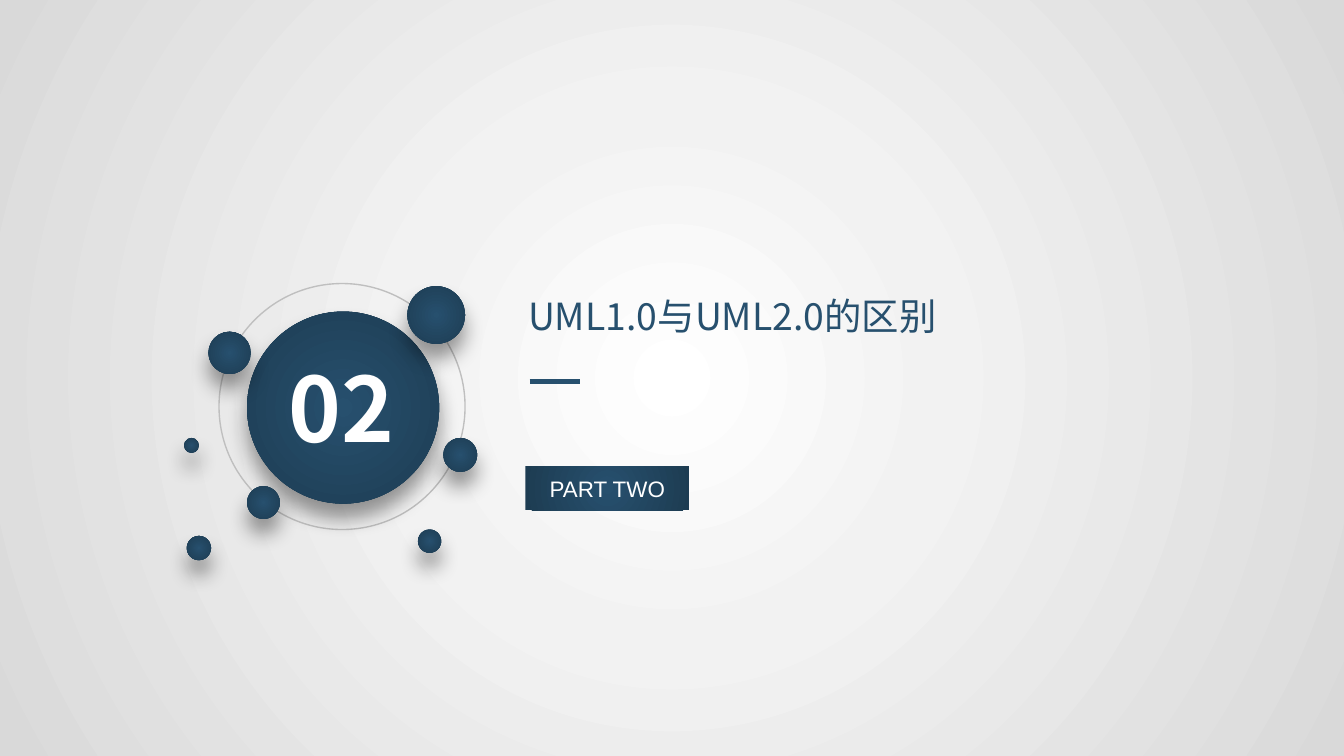
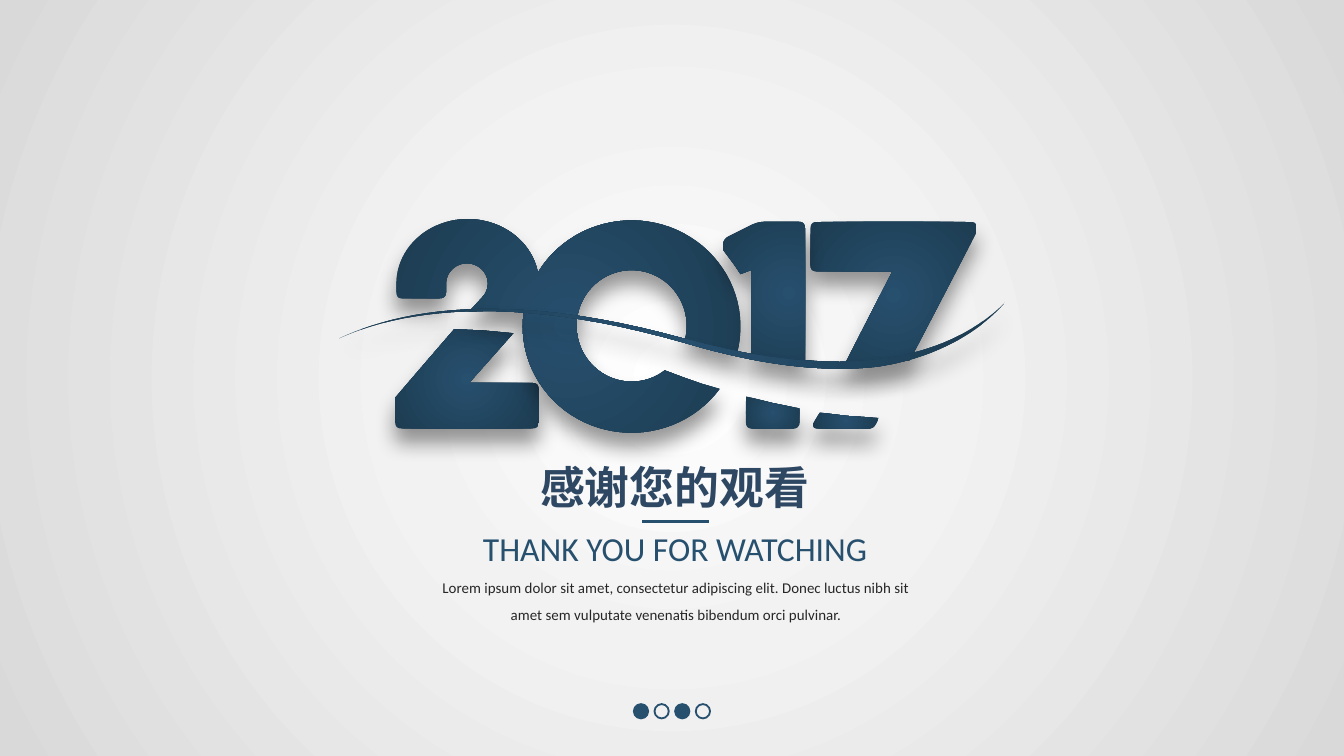
"""Build a section page and a closing page in a shared dark blue style."""
import math

import pptx
import pptx.dml.color
import pptx.enum.shapes
import pptx.enum.text
import pptx.oxml
import pptx.oxml.ns
import pptx.util
from pptx.util import Cm

BLUE, DEEP_BLUE, SLATE = "27506E", "1D3C52", "2E4864"
WHITE, PALE, SILVER, RING_GREY, INK = "FFFFFF", "F2F2F2", "D9D9D9", "BFBFBF", "262626"
BLUE_GLOW = ((0, BLUE), (100, DEEP_BLUE))
PAGE_GLOW = ((0, WHITE), (35, PALE), (100, SILVER))
CHINESE, ENGLISH, LABEL = "Noto Sans CJK SC", "Calibri", "Arial"
GRID = Cm(0.0254)
LEFT, CENTER = pptx.enum.text.PP_ALIGN.LEFT, pptx.enum.text.PP_ALIGN.CENTER
OVAL = pptx.enum.shapes.MSO_SHAPE.OVAL
RECTANGLE = pptx.enum.shapes.MSO_SHAPE.RECTANGLE
NS = pptx.oxml.ns.nsdecls("a")

# Each corner is x, y and an optional rounding radius, in GRID units.
TWO_BASE = [(349, 285), (382, 248), (360, 246), (338, 245), (294, 296),
            (294, 319, 5), (401, 319, 5), (401, 285, 5)]
ONE_STEM = [(599, 165, 5), (564, 165, 6), (538, 178, 5), (538, 186), (547, 198),
            (551, 204), (559, 201), (559, 264), (579, 268), (599, 270),
            (636, 271), (599, 268)]
ONE_FOOT = [(555, 295), (575, 300), (595, 304), (595, 319, 5), (555, 319, 5)]
SEVEN_TOP = [(727, 165, 5), (603, 165, 5), (603, 202, 5), (664, 202), (627, 274),
             (639, 273), (658, 271), (677, 268), (726, 174)]
SEVEN_FOOT = [(610, 307), (630, 309.5), (654, 311), (650, 319, 4), (605, 319, 4),
              (605, 315)]
WAVE = [((748, 225), (715, 258), (647, 290), (509, 252)),
        ((509, 252), (376, 215), (296, 231), (252, 252)),
        ((252, 252), (296, 232), (376, 217), (509, 255)),
        ((509, 255), (569, 273), (616, 277), (652, 273)),
        ((652, 273), (681, 269), (721, 256), (748, 225))]


def color(code):
    """Turn a hex string into a colour."""
    return pptx.dml.color.RGBColor.from_string(code)


def glow(fill, element, stops):
    """Fill with a gradient that spreads from the centre."""
    fill.solid()
    plain = element.find(".//" + pptx.oxml.ns.qn("a:solidFill"))
    marks = "".join(f'<a:gs pos="{place * 1000}"><a:srgbClr val="{code}"/></a:gs>'
                    for place, code in stops)
    plain.getparent().replace(plain, pptx.oxml.parse_xml(
        f'<a:gradFill {NS} rotWithShape="1"><a:gsLst>{marks}</a:gsLst><a:path path="circle">'
        '<a:fillToRect l="50000" t="50000" r="50000" b="50000"/></a:path></a:gradFill>'))


def drop_shadow(shape):
    """Cast a soft shadow straight down."""
    effects = shape._element.spPr.find(pptx.oxml.ns.qn("a:effectLst"))
    effects.append(pptx.oxml.parse_xml(
        f'<a:outerShdw {NS} blurRad="{pptx.util.Pt(11)}" dist="{pptx.util.Pt(8)}" '
        'dir="5400000" algn="t" rotWithShape="0"><a:srgbClr val="000000">'
        '<a:alpha val="40000"/></a:srgbClr></a:outerShdw>'))


def style(shape, fill=None, line=None, width=1, shadow=False):
    """Give a shape its fill, line and shadow; a tuple of stops is a gradient."""
    shape.shadow.inherit = False
    if fill is None:
        shape.fill.background()
    elif isinstance(fill, tuple):
        glow(shape.fill, shape._element.spPr, fill)
    else:
        shape.fill.solid()
        shape.fill.fore_color.rgb = color(fill)
    if line:
        shape.line.color.rgb = color(line)
        shape.line.width = pptx.util.Pt(width)
    else:
        shape.line.fill.background()
    if shadow:
        drop_shadow(shape)


def add_circle(shapes, left, top, size, **look):
    """Add a styled circle."""
    style(shapes.add_shape(OVAL, Cm(left), Cm(top), Cm(size), Cm(size)), **look)


def write(box, text, size, font, code, bold=False, align=CENTER, spacing=None):
    """Write one formatted paragraph into a box."""
    para = box.text_frame.paragraphs[0]
    para.alignment = align
    para.line_spacing = spacing
    span = para.add_run()
    span.text = text
    span.font.size = pptx.util.Pt(size)
    span.font.bold = bold
    span.font.color.rgb = color(code)
    span.font.name = font
    span._r.get_or_add_rPr().append(
        pptx.oxml.parse_xml(f'<a:ea {NS} typeface="{font}"/>'))


def add_text(page, text, left, top, width, height, wrap=True, **form):
    """Add a text box that grows with its text."""
    box = page.shapes.add_textbox(Cm(left), Cm(top), Cm(width), Cm(height))
    box.text_frame.word_wrap = wrap
    box.text_frame.auto_size = pptx.enum.text.MSO_AUTO_SIZE.SHAPE_TO_FIT_TEXT
    write(box, text, **form)


def add_rule(page, left, right, height, width):
    """Add a short horizontal blue line."""
    rule = page.shapes.add_connector(pptx.enum.shapes.MSO_CONNECTOR.STRAIGHT,
                                     Cm(left), Cm(height), Cm(right), Cm(height))
    rule.line.color.rgb = color(BLUE)
    rule.line.width = pptx.util.Pt(width)
    rule._element.spPr.append(pptx.oxml.parse_xml(f"<a:effectLst {NS}/>"))


def curve(controls, steps=16):
    """Return points along a Bezier curve of any degree."""
    degree = len(controls) - 1
    points = []
    for step in range(steps + 1):
        t = step / steps
        weights = [math.comb(degree, k) * t ** k * (1 - t) ** (degree - k)
                   for k in range(degree + 1)]
        points.append(tuple(sum(weight * control[axis]
                                for weight, control in zip(weights, controls))
                            for axis in (0, 1)))
    return points


def arc(x, y, wide, high, start, end):
    """Return points along an elliptic arc, with angles in degrees."""
    steps = math.ceil(abs(end - start) / 4)
    angles = [math.radians(start + (end - start) * k / steps) for k in range(steps + 1)]
    return [(x + wide * math.cos(angle), y + high * math.sin(angle)) for angle in angles]


def rounded(corners):
    """Return the outline of a polygon with its marked corners rounded."""
    points = []
    for index, (x, y, *radius) in enumerate(corners):
        if not radius:
            points.append((x, y))
            continue
        ends = []
        for near in (corners[index - 1], corners[(index + 1) % len(corners)]):
            share = min(radius[0] / math.dist((x, y), near[:2]), 0.5)
            ends.append((x + (near[0] - x) * share, y + (near[1] - y) * share))
        points += curve((ends[0], (x, y), ends[1]), 5)
    return points


def two_and_zero():
    """Return the joined outline of the upper two and the open zero."""
    return (arc(470, 243, 81, 79, 211, 374.5)
            + arc(470, 242.5, 41, 41.5, 375, 53)
            + [(509, 281), (522, 285.5)]
            + arc(470, 243, 81, 79, 36, 188)
            + curve(((390, 232), (375, 231), (362, 231), (349, 232)), 6)
            + arc(347.5, 211, 15.5, 15, 40, -180)
            + curve(((332, 217), (332, 222), (327, 222)), 5)
            + curve(((299, 222), (295, 222), (295, 217)), 5)
            + arc(348, 211, 53, 48, 180, 348))


def add_outline(shapes, points):
    """Add a closed glowing outline given in GRID units."""
    points = [(x * GRID, y * GRID) for x, y in points]
    builder = shapes.build_freeform(*points[0])
    builder.add_line_segments(points[1:], close=True)
    style(builder.convert_to_shape(), fill=BLUE_GLOW, shadow=True)


def add_year(page):
    """Draw the sliced year with the wave that cuts it."""
    shapes = page.shapes.add_group_shape().shapes
    wave = [point for part in WAVE for point in curve(part, 24)]
    for points in (rounded(SEVEN_FOOT), rounded(SEVEN_TOP), rounded(TWO_BASE),
                   two_and_zero(), rounded(ONE_STEM), rounded(ONE_FOOT), wave):
        add_outline(shapes, points)


def add_section(page):
    """Fill the section page."""
    add_circle(page.shapes, 4.14, 5.36, 4.65, line=RING_GREY, width=0.75)
    add_circle(page.shapes, 4.67, 5.89, 3.63, fill=BLUE_GLOW, shadow=True)
    add_text(page, "02", 5.16, 6.55, 2.59, 2.31, wrap=False,
             size=48, font=CHINESE, code=WHITE, bold=True)
    add_text(page, "UML1.0与UML2.0的区别", 9.73, 5.41, 8.56, 1.12,
             size=20, font=CHINESE, code=BLUE, align=LEFT)
    add_rule(page, 10.01, 10.97, 7.21, 2.25)
    label = page.shapes.add_shape(RECTANGLE, Cm(9.93), Cm(8.81), Cm(3.1), Cm(0.84))
    style(label, fill=BLUE_GLOW)
    label.text_frame.vertical_anchor = pptx.enum.text.MSO_ANCHOR.MIDDLE
    write(label, "PART TWO", size=12, font=LABEL, code=WHITE)
    for left, top, size in ((7.7, 5.41, 1.09), (3.94, 6.27, 0.8), (3.53, 10.13, 0.46),
                            (4.67, 9.19, 0.62), (8.38, 8.28, 0.64), (7.9, 10.01, 0.44),
                            (3.48, 8.28, 0.28)):
        add_circle(page.shapes, left, top, size, fill=BLUE_GLOW, shadow=True)


def add_closing(page):
    """Fill the closing page."""
    add_text(page, "感谢您的观看", 8.56, 8.56, 8.38, 1.27,
             size=24, font=CHINESE, code=SLATE, bold=True)
    add_text(page, "THANK YOU FOR WATCHING", 8.81, 9.86, 7.9, 1.02, wrap=False,
             size=18, font=ENGLISH, code=BLUE)
    add_rule(page, 12.14, 13.39, 9.86, 1.5)
    add_text(page, "Lorem ipsum dolor sit amet, consectetur adipiscing elit. Donec luctus "
             "nibh sit amet sem vulputate venenatis bibendum orci pulvinar.",
             8.03, 10.64, 9.5, 1.27, size=8, font=ENGLISH, code=INK, spacing=1.5)
    dots = page.shapes.add_group_shape().shapes
    for index, fill in enumerate((BLUE, None) * 2):
        add_circle(dots, 11.98 + 0.39 * index, 13.31, 0.27, fill=fill, line=BLUE)
    add_year(page)


def main():
    """Build and save the deck."""
    deck = pptx.Presentation()
    deck.slide_width, deck.slide_height = Cm(25.4), Cm(14.29)
    master = deck.slide_master
    glow(master.background.fill, master._element.cSld, PAGE_GLOW)
    blank = deck.slide_layouts[6]
    for fill_page in (add_section, add_closing):
        fill_page(deck.slides.add_slide(blank))
    deck.save("out.pptx")


if __name__ == "__main__":
    main()
